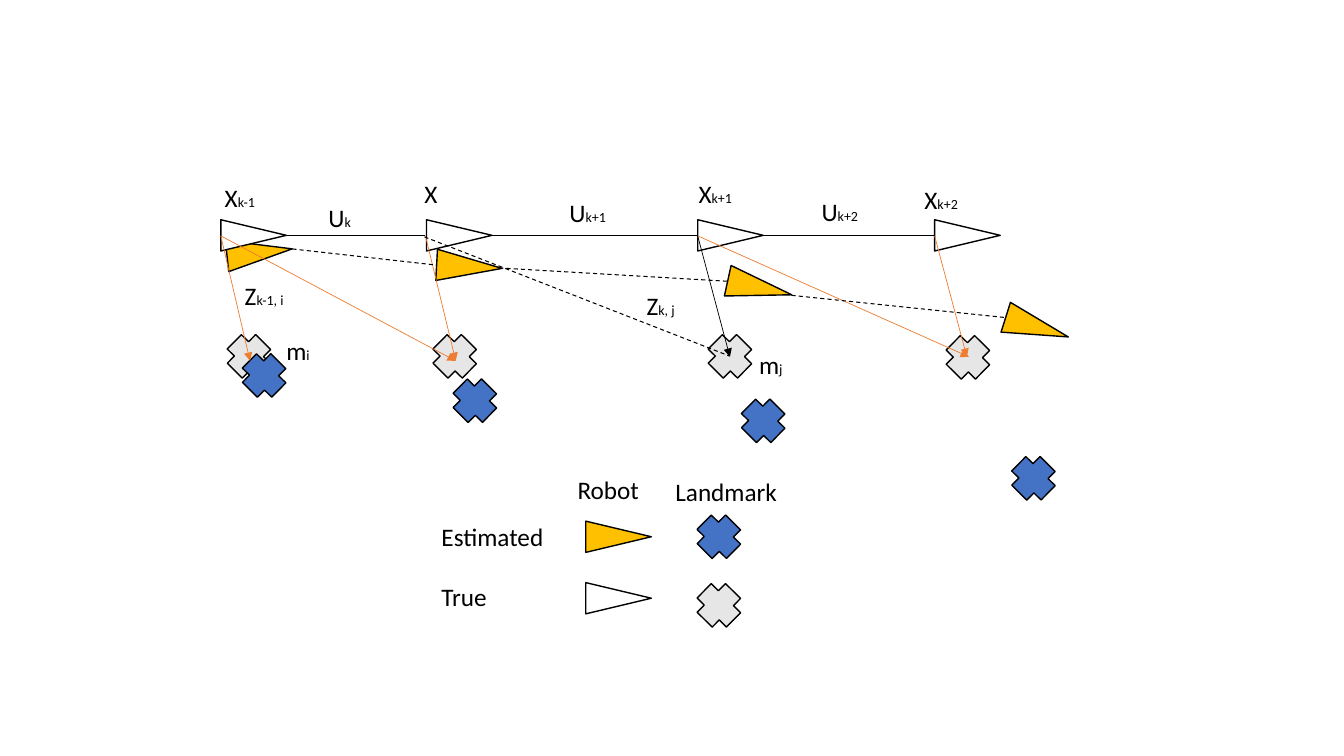
from pptx import Presentation
from pptx.dml.color import RGBColor
from pptx.enum.dml import MSO_LINE
from pptx.enum.shapes import MSO_CONNECTOR, MSO_SHAPE
from pptx.enum.text import MSO_AUTO_SIZE, PP_ALIGN
from pptx.oxml.ns import qn
from pptx.util import Inches, Pt
from lxml.etree import SubElement

BLACK = RGBColor(0x00, 0x00, 0x00)
WHITE = RGBColor(0xFF, 0xFF, 0xFF)
GOLD = RGBColor(0xFF, 0xC0, 0x00)
BLUE = RGBColor(0x44, 0x72, 0xC4)
GRAY = RGBColor(0xE7, 0xE6, 0xE6)
ORANGE = RGBColor(0xED, 0x7D, 0x31)

TRUE_TOP = 2.01
PATH_Y = 2.34
ROBOT_SIZE = (0.31, 0.65)
LANDMARK_SIZE = (0.4, 0.41)

# Left, top and rotation of each estimated robot
ESTIMATED_ROBOTS = [(2.42, 2.18, 83.7), (4.5, 2.32, 93.1),
                    (7.38, 2.53, 102.4), (10.13, 2.92, 107.5)]
TRUE_ROBOT_LEFTS = [2.36, 4.4, 7.09, 9.44]
TRUE_LANDMARKS = [(2.27, 3.33), (4.31, 3.33), (7.04, 3.33), (9.4, 3.34)]
ESTIMATED_LANDMARKS = [(2.42, 3.52), (4.51, 3.77), (7.37, 3.97), (10.05, 4.54)]

# Start, end and colour of each arrow from a robot to a landmark
NEAR_SIGHTINGS = [((2.19, PATH_Y), (2.48, 3.58), ORANGE),
                  ((4.22, PATH_Y), (4.52, 3.58), ORANGE),
                  ((6.92, PATH_Y), (7.24, 3.54), BLACK),
                  ((9.27, PATH_Y), (9.59, 3.54), ORANGE),
                  ((2.19, PATH_Y), (4.52, 3.58), ORANGE)]
PREDICTED_SIGHTING = ((4.21, 2.35), (7.23, 3.53))
FAR_SIGHTING = ((6.92, PATH_Y), (9.61, 3.54))
TRUE_STEPS = [(2.85, 4.22), (4.88, 6.92), (7.57, 9.27)]
ESTIMATED_STEPS = [((2.9, 2.47), (4.33, 2.63)),
                   ((7.21, 2.79), (4.98, 2.66)),
                   ((7.85, 2.93), (9.97, 3.15))]

# Symbol, subscript, left, top, width
STATE_LABELS = [("X", "k-1", 2.13, 1.76, 0.51), ("X", "", 4.11, 1.72, 0.33),
                ("X", "k+1", 6.83, 1.72, 0.54), ("X", "k+2", 9.07, 1.78, 0.54),
                ("U", "k", 3.16, 1.96, 0.43), ("U", "k+1", 5.55, 1.91, 0.57),
                ("U", "k+2", 8.05, 1.9, 0.57)]
MAP_LABELS = [("m", "j", 7.42, 3.42, 0.44), ("m", "i", 2.73, 3.28, 0.44),
              ("Z", "k-1, i", 2.32, 2.73, 0.59), ("Z", "k, j", 6.31, 2.83, 0.48)]
LEGEND_LABELS = [("Estimated", 4.28, 5.12, 1.22), ("True", 4.28, 5.72, 0.66),
                 ("Robot", 5.63, 4.66, 0.82), ("Landmark", 6.6, 4.68, 1.22)]
# Robot top, robot colour, landmark top, landmark colour
LEGEND_ROWS = [(5.0, GOLD, 5.12, BLUE), (5.61, WHITE, 5.8, GRAY)]


def add_marker(slide, preset, left, top, size, rotation, color):
    """Add a rotated preset shape with a thin black outline."""
    marker = slide.shapes.add_shape(preset, Inches(left), Inches(top),
                                    *map(Inches, size))
    marker.rotation = rotation
    marker.shadow.inherit = False
    marker.fill.solid()
    marker.fill.fore_color.rgb = color
    marker.line.color.rgb = BLACK
    marker.line.width = Pt(1)


def add_robot(slide, left, top, color, rotation=90):
    """Add a triangle that points along the robot's heading."""
    add_marker(slide, MSO_SHAPE.ISOSCELES_TRIANGLE, left, top, ROBOT_SIZE,
               rotation, color)


def add_landmark(slide, left, top, color):
    """Add a diagonal cross for a landmark."""
    add_marker(slide, MSO_SHAPE.CROSS, left, top, LANDMARK_SIZE, 314.7, color)


def add_link(slide, start, end, color=BLACK, dashed=False, arrow=False):
    """Add a straight line, optionally dashed or with an arrowhead."""
    link = slide.shapes.add_connector(MSO_CONNECTOR.STRAIGHT,
                                      *map(Inches, start + end))
    link.line.color.rgb = color
    link.line.width = Pt(0.75 if dashed else 0.5)
    if dashed:
        link.line.dash_style = MSO_LINE.DASH
    if arrow:
        SubElement(link.line._get_or_add_ln(), qn("a:tailEnd"), type="triangle")
    SubElement(link._element.spPr, qn("a:effectLst"))


def add_label(slide, text, left, top, width, subscript="", align=PP_ALIGN.LEFT):
    """Add a one-line label, with an optional small subscript."""
    label = slide.shapes.add_textbox(Inches(left), Inches(top),
                                     Inches(width), Inches(0.4))
    frame = label.text_frame
    frame.word_wrap = False
    frame.auto_size = MSO_AUTO_SIZE.SHAPE_TO_FIT_TEXT
    paragraph = frame.paragraphs[0]
    paragraph.alignment = align
    for part, size in ((text, 18), (subscript, 10)):
        if part:
            run = paragraph.add_run()
            run.text = part
            run.font.name = "Calibri"
            run.font.size = Pt(size)
            run.font.color.rgb = BLACK


def add_robots_and_landmarks(slide):
    """Add the estimated and true robots and landmarks."""
    for left, top, rotation in ESTIMATED_ROBOTS:
        add_robot(slide, left, top, GOLD, rotation)
    for left in TRUE_ROBOT_LEFTS:
        add_robot(slide, left, TRUE_TOP, WHITE)
    for places, color in ((TRUE_LANDMARKS, GRAY), (ESTIMATED_LANDMARKS, BLUE)):
        for left, top in places:
            add_landmark(slide, left, top, color)


def add_links(slide):
    """Add the sightings and the steps between robot states."""
    for start, end, color in NEAR_SIGHTINGS:
        add_link(slide, start, end, color, arrow=True)
    add_link(slide, *PREDICTED_SIGHTING, dashed=True)
    add_link(slide, *FAR_SIGHTING, ORANGE, arrow=True)
    for start_x, end_x in TRUE_STEPS:
        add_link(slide, (start_x, PATH_Y), (end_x, PATH_Y))
    for start, end in ESTIMATED_STEPS:
        add_link(slide, start, end, dashed=True)


def add_symbols(slide):
    """Add the labels of states, controls, landmarks and sightings."""
    for labels, align in ((STATE_LABELS, PP_ALIGN.LEFT),
                          (MAP_LABELS, PP_ALIGN.RIGHT)):
        for symbol, subscript, left, top, width in labels:
            add_label(slide, symbol, left, top, width, subscript=subscript,
                      align=align)


def add_legend(slide):
    """Add the key of robot and landmark markers."""
    for robot_top, robot_color, landmark_top, landmark_color in LEGEND_ROWS:
        add_robot(slide, 5.98, robot_top, robot_color)
        add_landmark(slide, 6.93, landmark_top, landmark_color)
    for text, left, top, width in LEGEND_LABELS:
        add_label(slide, text, left, top, width)


def main():
    """Build and save the slide."""
    presentation = Presentation()
    presentation.slide_width = Inches(13.33)
    presentation.slide_height = Inches(7.5)
    slide = presentation.slides.add_slide(presentation.slide_layouts[6])
    add_robots_and_landmarks(slide)
    add_links(slide)
    add_symbols(slide)
    add_legend(slide)
    presentation.save("out.pptx")


main()
